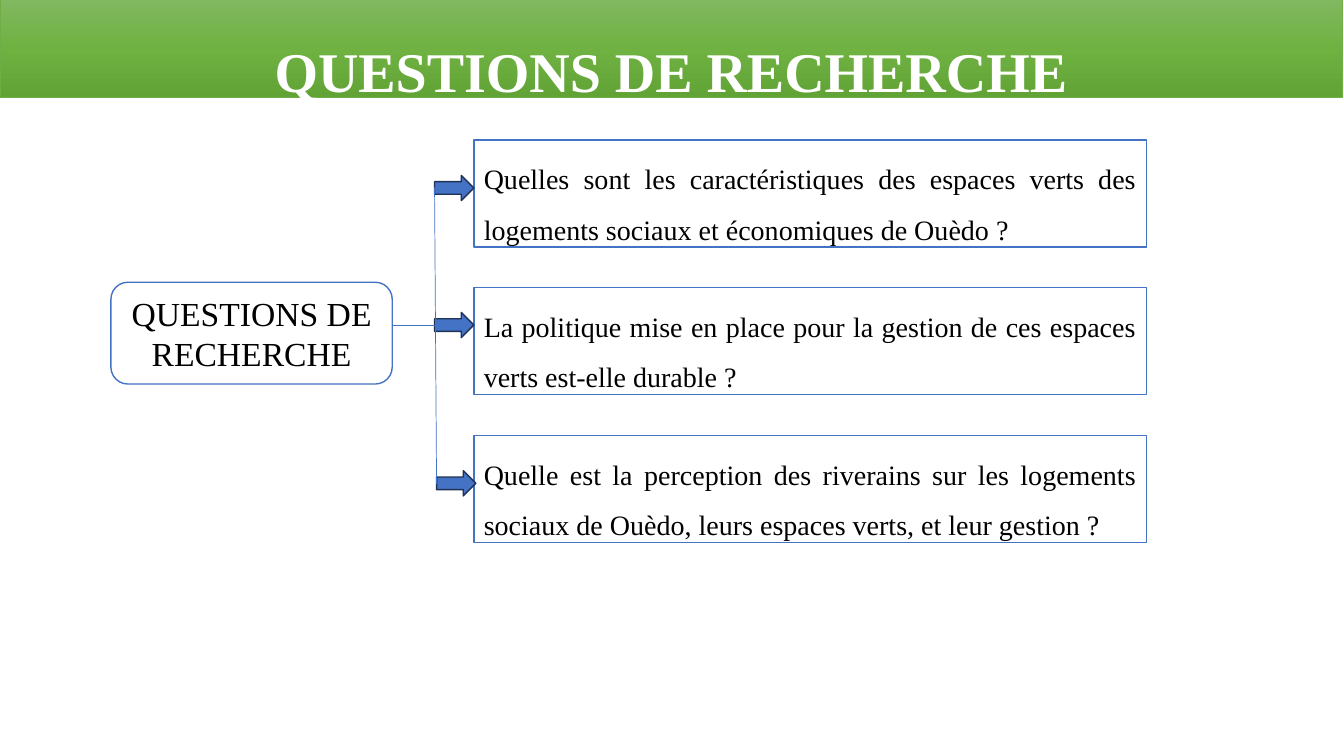
import copy

import pptx
import pptx.dml.color
import pptx.enum.shapes
import pptx.enum.text
import pptx.oxml
import pptx.oxml.ns
import pptx.util
from pptx.util import Inches, Pt

SHAPE = pptx.enum.shapes.MSO_SHAPE
ALIGN = pptx.enum.text.PP_ALIGN
ANCHOR = pptx.enum.text.MSO_ANCHOR
AUTO_SIZE = pptx.enum.text.MSO_AUTO_SIZE

BLUE = "4472C4"
HEADING = "QUESTIONS DE RECHERCHE"
QUESTIONS = [
    "Quelles sont les caractéristiques des espaces verts des logements sociaux et économiques de Ouèdo ?",
    "La politique mise en place pour la gestion de ces espaces verts est-elle durable ?",
    "Quelle est la perception des riverains sur les logements sociaux de Ouèdo, leurs espaces verts, et leur gestion ?",
]
QUESTION_TOP, QUESTION_PITCH = 1.39, 2.93 / 2
ARROW_PLACES = [(4.31, 3.1), (4.31, 1.74), (4.33, 4.67)]
BRANCH_LINES = [((4.31, 1.86), (4.33, 4.8)), ((4.31, 3.23), (3.88, 3.23))]

TITLE_FORMAT = {
    "alignment": ALIGN.CENTER, "line_spacing": 1.5,
    "space_before": Pt(8), "space_after": Pt(4),
}
QUESTION_FORMAT = {
    "alignment": ALIGN.JUSTIFY, "line_spacing": 1.5, "space_after": Pt(8),
}
TOPIC_FORMAT = {"alignment": ALIGN.CENTER}


def color(hex_value):
    return pptx.dml.color.RGBColor.from_string(hex_value)


def set_line(item, hex_value, width):
    item.line.color.rgb = color(hex_value)
    item.line.width = Pt(width)


def add_box(slide, kind, place, fill, line, width=1):
    box = slide.shapes.add_shape(kind, *map(Inches, place))
    box.shadow.inherit = False
    box.fill.solid()
    box.fill.fore_color.rgb = color(fill)
    set_line(box, line, width)
    return box


def fill_gradient(box, stops):
    """Fill from top to bottom with (position, colour) stops."""
    box.fill.gradient()
    box.fill.gradient_angle = 270
    stop_list = box.fill.gradient_stops
    stop_nodes = box.element.spPr.findall(".//" + pptx.oxml.ns.qn("a:gs"))
    for _ in range(len(stops) - len(stop_list)):
        stop_nodes[-1].addnext(copy.deepcopy(stop_nodes[-1]))
    for stop, (position, hex_value) in zip(box.fill.gradient_stops, stops):
        stop.position = position
        stop.color.rgb = color(hex_value)


def write_text(box, text, size, para_format, hex_value="000000", bold=False,
               anchor=ANCHOR.TOP, auto_size=AUTO_SIZE.SHAPE_TO_FIT_TEXT):
    frame = box.text_frame
    frame.word_wrap = True
    frame.vertical_anchor = anchor
    frame.auto_size = auto_size
    para = frame.paragraphs[0]
    for name, value in para_format.items():
        setattr(para, name, value)
    span = para.add_run()
    span.text = text
    font_format = {"name": "Times New Roman", "size": Pt(size), "bold": bold}
    for name, value in font_format.items():
        setattr(span.font, name, value)
    span.font.color.rgb = color(hex_value)


def add_line(slide, start, end):
    line = slide.shapes.add_connector(
        pptx.enum.shapes.MSO_CONNECTOR.STRAIGHT, *map(Inches, start + end))
    set_line(line, BLUE, 0.5)
    properties = line.element.spPr
    properties.append(pptx.oxml.parse_xml(
        "<a:effectLst %s/>" % pptx.oxml.ns.nsdecls("a")))


def add_title(slide):
    band = add_box(slide, SHAPE.RECTANGLE, (0, -0.02, 13.31, 0.99),
                   "6FB242", "70AD47", 0.5)
    fill_gradient(band, [(0, "81B861"), (0.5, "6FB242"), (1, "62A336")])
    write_text(band, HEADING, 40, TITLE_FORMAT, "FFFFFF", bold=True)


def add_questions(slide):
    for row, question in enumerate(QUESTIONS):
        top = QUESTION_TOP + row * QUESTION_PITCH
        box = add_box(slide, SHAPE.RECTANGLE, (4.7, top, 6.67, 1.06),
                      "FFFFFF", BLUE)
        write_text(box, question, 20, QUESTION_FORMAT)


def add_branches(slide):
    for left, top in ARROW_PLACES:
        add_box(slide, SHAPE.RIGHT_ARROW, (left, top, 0.39, 0.25),
                BLUE, "1E3256")
    for start, end in BRANCH_LINES:
        add_line(slide, start, end)


def add_topic(slide):
    box = add_box(slide, SHAPE.ROUNDED_RECTANGLE, (1.1, 2.8, 2.79, 1.01),
                  "FFFFFF", BLUE)
    write_text(box, HEADING, 24, TOPIC_FORMAT, anchor=ANCHOR.MIDDLE,
               auto_size=AUTO_SIZE.NONE)


def main():
    deck = pptx.Presentation()
    deck.slide_width = Inches(13.33)
    deck.slide_height = Inches(7.5)
    slide = deck.slides.add_slide(deck.slide_layouts[6])
    add_title(slide)
    add_questions(slide)
    add_branches(slide)
    add_topic(slide)
    deck.save("out.pptx")


if __name__ == "__main__":
    main()
